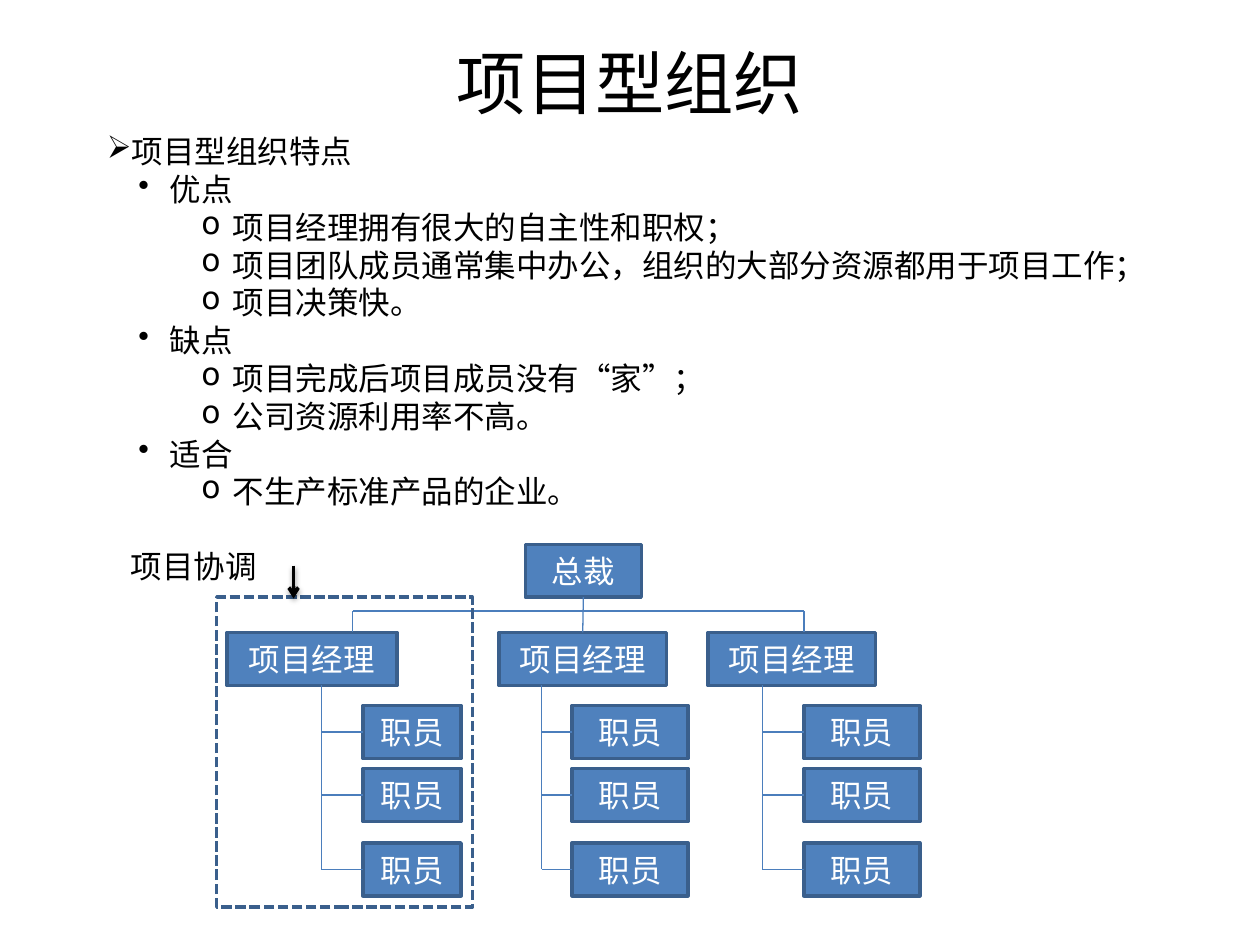
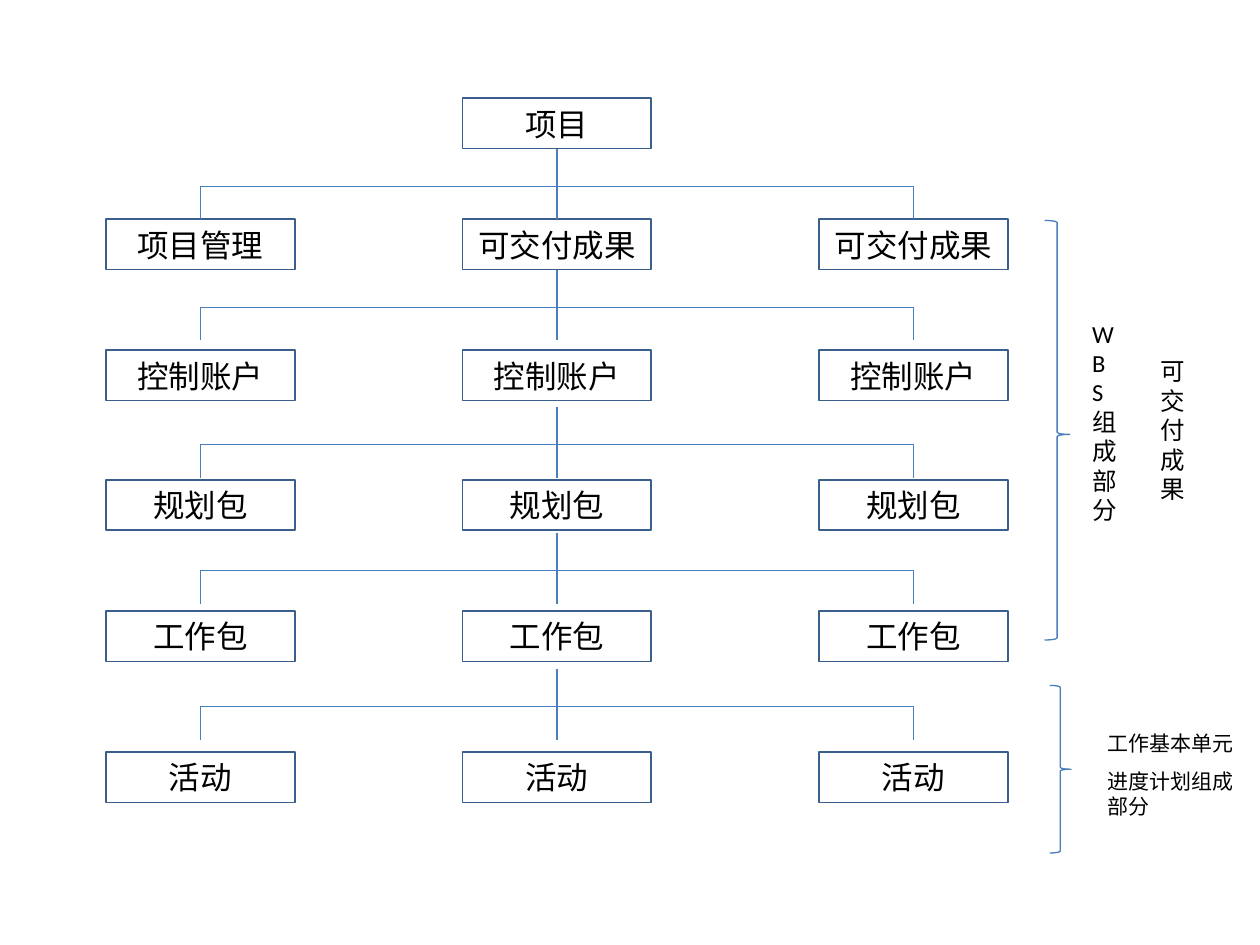
from pptx import Presentation
from pptx.dml.color import RGBColor
from pptx.enum import dml, shapes, text
from pptx.oxml import parse_xml
from pptx.oxml.ns import nsdecls, qn
from pptx.util import Inches, Pt

RECT = shapes.MSO_SHAPE.RECTANGLE
BRACE = shapes.MSO_SHAPE.RIGHT_BRACE
MID = text.MSO_ANCHOR.MIDDLE
CENTER = text.PP_ALIGN.CENTER
TOP, LEFT, BOTTOM = 0, 1, 2
SHADOW = ('<a:outerShdw blurRad="39370" dist="20320" dir="5400000">'
          '<a:srgbClr val="000000"><a:alpha val="38000"/></a:srgbClr></a:outerShdw>')


def rgb(code):
    return RGBColor.from_string(code)


def xml(tag, attrs="", body=""):
    return parse_xml(f'<a:{tag} {nsdecls("a")} {attrs}>{body}</a:{tag}>')


class Deck:
    face = "Calibri"
    ink, white, blue = "000000", "FFFFFF", "4F81BD"
    edge, wire = "3A5F8C", "4B7EBC"

    def __init__(self):
        self.prs = Presentation()
        self.prs.slide_width, self.prs.slide_height = Inches(10), Inches(7.5)

    def page(self):
        self.slide = self.prs.slides.add_slide(self.prs.slide_layouts[6])

    def font(self, par, size, color):
        par.font.name, par.font.size = self.face, Pt(size)
        par.font.color.rgb = rgb(color)

    def label(self, words, x, y, w, h, size=18, align=None, anchor=None):
        frame = self.slide.shapes.add_textbox(*map(Inches, (x, y, w, h))).text_frame
        frame.word_wrap = True
        frame.vertical_anchor = anchor
        par = frame.paragraphs[0]
        par.text, par.alignment = words, align
        self.font(par, size, self.ink)

    def title(self, words):
        self.label(words, 0.5, 0.3, 9, 0.7, 39.6, CENTER, MID)

    def outline(self, items, x, y, w, h):
        """Bulleted text; each item is (level, words)."""
        frame = self.slide.shapes.add_textbox(*map(Inches, (x, y, w, h))).text_frame
        frame.word_wrap = True
        for i, (level, words) in enumerate(items):
            par = frame.add_paragraph() if i else frame.paragraphs[0]
            par.text, par.level = words, level
            props = par._p.get_or_add_pPr()
            props.set("marL", str(Inches(0.5 * level)))
            props.set("indent", str(Inches(-0.25 if level else 0)))
            props.append(xml("buChar", f'char="{"➢•o"[level]}"'))
            self.font(par, 18, self.ink)

    def shape(self, kind, x, y, w, h, fill=None, line=None, width=1.0):
        item = self.slide.shapes.add_shape(kind, *map(Inches, (x, y, w, h)))
        item.shadow.inherit = False
        if fill:
            item.fill.solid()
            item.fill.fore_color.rgb = rgb(fill)
        else:
            item.fill.background()
        item.line.color.rgb = rgb(line or self.edge)
        item.line.width = Pt(width)
        return item

    def box(self, words, x, y, w, h, solid=False):
        item = self.shape(RECT, x, y, w, h, self.blue if solid else None,
                          width=2 if solid else 1)
        frame = item.text_frame
        frame.word_wrap, frame.vertical_anchor = True, MID
        par = frame.paragraphs[0]
        par.text, par.alignment = words, CENTER
        self.font(par, 18, self.white if solid else self.ink)
        return item

    def brace(self, x, y, w, h):
        return self.shape(BRACE, x, y, w, h, line=self.wire, width=0.75)

    def line(self, x1, y1, x2, y2, start=None, end=None, color=None, width=0.75, arrow=False):
        """Straight line; start and end are (box, side) to join."""
        item = self.slide.shapes.add_connector(
            shapes.MSO_CONNECTOR.STRAIGHT, *map(Inches, (x1, y1, x2, y2)))
        item.line.color.rgb = rgb(color or self.wire)
        item.line.width = Pt(width)
        props = item._element.spPr
        if arrow:
            props.find(qn("a:ln")).append(xml("tailEnd", 'type="arrow"'))
        props.append(xml("effectLst", body=SHADOW if arrow else ""))
        if start:
            item.begin_connect(*start)
        if end:
            item.end_connect(*end)


def project_org(deck):
    deck.page()
    deck.title("项目型组织")
    deck.outline([
        (0, "项目型组织特点"),
        (1, "优点"),
        (2, "项目经理拥有很大的自主性和职权；"),
        (2, "项目团队成员通常集中办公，组织的大部分资源都用于项目工作；"),
        (2, "项目决策快。"),
        (1, "缺点"),
        (2, "项目完成后项目成员没有“家”；"),
        (2, "公司资源利用率不高。"),
        (1, "适合"),
        (2, "不生产标准产品的企业。"),
    ], 0.75, 1, 8.67, 3.13)

    # President, managers and their staff
    high = 0.42
    chief = deck.box("总裁", 4.17, 4.32, 0.92, high, True)
    heads = []
    teams = [(1.8, 1.35, 2.55, 2.88, 0.78),
             (3.96, 1.33, 4.3, 4.54, 0.92),
             (5.62, 1.33, 6.05, 6.38, 0.92)]
    for x, w, spine, left, wide in teams:
        heads.append(deck.box("项目经理", x, 5.02, w, high, True))
        deck.line(spine, 5.02 + high, spine, 6.9)
        for y in (5.6, 6.1, 6.69):
            staff = deck.box("职员", left, y, wide, high, True)
            mid = y + high / 2
            deck.line(spine, mid, left, mid, end=(staff, LEFT))

    # Lines from the president
    deck.line(4.63, 4.74, 4.63, 5.02, (chief, BOTTOM), (heads[1], TOP))
    deck.line(2.8, 4.85, 6.38, 4.85)
    for x in (2.8, 6.38):
        deck.line(x, 4.85, x, 5.02)

    # Coordination frame
    frame = deck.shape(RECT, 1.72, 4.74, 2.03, 2.46, width=2)
    frame.line.dash_style = dml.MSO_LINE.SQUARE_DOT
    deck.label("项目协调", 0.94, 4.29, 1.39, 0.4)
    deck.line(2.33, 4.49, 2.33, 4.75, color=deck.ink, width=2, arrow=True)


def work_tree(deck):
    deck.page()
    wide, high = 1.5, 0.4
    cols = [0.84 + 2.83 * i for i in range(3)]
    mids = [x + wide / 2 for x in cols]

    # Boxes, one row per level
    root = deck.box("项目", cols[1], 0.78, wide, high)
    levels = [(1.74, ["项目管理", "可交付成果", "可交付成果"]),
              (2.78, ["控制账户"] * 3),
              (3.81, ["规划包"] * 3),
              (4.85, ["工作包"] * 3),
              (5.97, ["活动"] * 3)]
    rows = [[deck.box(name, x, y, wide, high) for name, x in zip(names, cols)]
            for y, names in levels]

    # Forks between levels; only the first two touch boxes
    for i, top in enumerate((1.18, 2.14, 3.23, 4.23, 5.31)):
        bar, foot = top + 0.3, top + 0.56
        start = (root if i == 0 else rows[0][1], BOTTOM) if i < 2 else None
        ends = [(item, TOP) if i == 0 else None for item in rows[i]]
        deck.line(mids[1], top, mids[1], foot, start, ends[1])
        deck.line(mids[0], bar, mids[2], bar)
        for j in (0, 2):
            deck.line(mids[j], bar, mids[j], foot, end=ends[j])

    # Braces and side notes
    brace = deck.brace(8.29, 1.75, 0.2, 3.33)
    brace.adjustments[0], brace.adjustments[1] = 0.08, 0.51
    deck.brace(8.33, 5.44, 0.17, 1.33)
    deck.label("WBS组成部分", 8.57, 2.48, 0.36, 1.74, 14)
    deck.label("可交付成果", 9.11, 2.78, 0.36, 1.27, 14)
    deck.label("工作基本单元", 8.69, 5.75, 1.21, 0.3, 12)
    deck.label("进度计划组成部分", 8.69, 6.05, 1.21, 0.5, 12)


def main():
    deck = Deck()
    project_org(deck)
    work_tree(deck)
    deck.prs.save("out.pptx")


if __name__ == "__main__":
    main()
